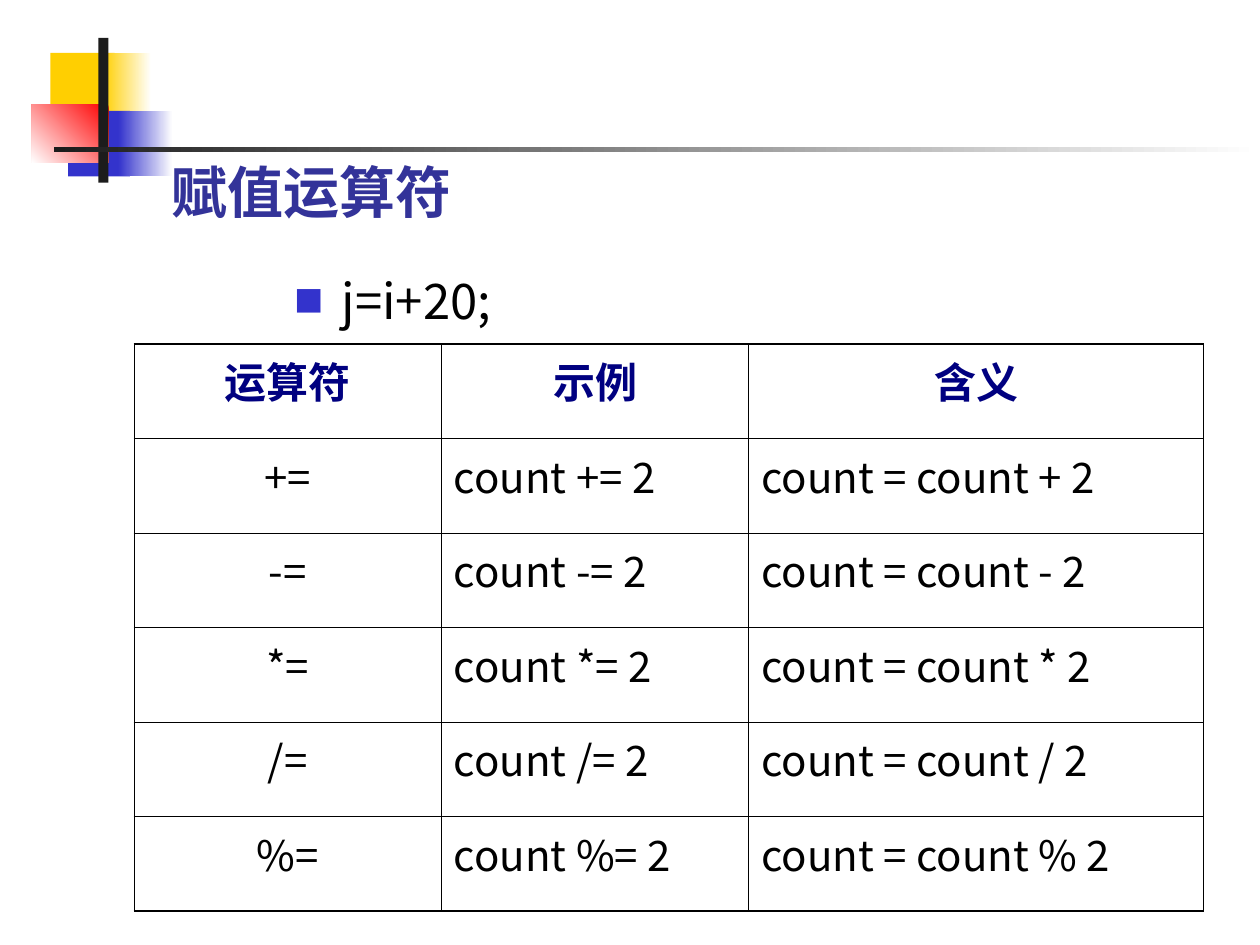
import lxml.etree
import pptx
import pptx.dml.color
import pptx.enum.shapes
import pptx.enum.text
import pptx.oxml
import pptx.oxml.ns
import pptx.util

Pt = pptx.util.Pt
qn = pptx.oxml.ns.qn
ALIGN = pptx.enum.text.PP_ALIGN
ANCHOR = pptx.enum.text.MSO_ANCHOR

THEME = {
    "yellow": "FFCF01", "blue": "3333CC", "red": "FF0000", "dark": "1C1C1C",
    "white": "FFFFFF", "title": "333399", "header": "000080", "text": "000000",
    "sans": "Noto Sans CJK SC", "title_font": "Karla", "serif": "Times New Roman",
    "title_size": 32, "body_size": 28, "table_size": 24,
}

TITLE = "赋值运算符"
EXAMPLE = "j=i+20;"
HEADER = ["运算符", "示例", "含义"]
OPERATORS = ["+", "-", "*", "/", "%"]
ROWS = [HEADER] + [
    [f"{op}=", f"count {op}= 2", f"count = count {op} 2"] for op in OPERATORS
]

# left, top, width, height, start colour, end colour, clockwise angle
DECORATION = [
    (28.8, 30.2, 36.7, 37.4, "yellow", None, None),
    (59, 30.2, 27.4, 37.4, "white", "yellow", 180),
    (38.9, 63.4, 35.3, 37.4, "blue", None, None),
    (67.7, 63.4, 31, 37.4, "white", "blue", 180),
    (18, 59.8, 43.9, 33.1, "red", "white", 135),
    (56.2, 21.6, 5.8, 82.8, "dark", None, None),
    (31, 84.2, 689, 2.9, "white", "dark", 180),
]
TITLE_BOX = (90.7, 16.6, 613.4, 115.2)
EXAMPLE_BOX = (161.3, 151.2, 291.6, 46.8)
TABLE_LEFT, TABLE_TOP = 76.5, 196.5
COLUMN_WIDTHS = [175.7, 175.7, 260]
ROW_HEIGHT = 54
RULE, EDGE_RULE = 0.45, 0.96


def rgb(name):
    return pptx.dml.color.RGBColor.from_string(THEME[name])


def add_block(slide, box, start, end, angle):
    """Add a borderless rectangle, solid unless an end colour is given."""
    sp = slide.shapes.add_shape(
        pptx.enum.shapes.MSO_SHAPE.RECTANGLE, *map(Pt, box))
    sp.shadow.inherit = False
    sp.line.fill.background()
    if end is None:
        sp.fill.solid()
        sp.fill.fore_color.rgb = rgb(start)
        return
    sp.fill.gradient()
    sp.fill.gradient_angle = 360 - angle
    for stop, name in zip(sp.fill.gradient_stops, (start, end)):
        stop.color.rgb = rgb(name)


def write(tf, text, *, size, color="text", font="sans", bold=False,
          align=ALIGN.LEFT, anchor=ANCHOR.TOP, bullet=False):
    tf.word_wrap = True
    tf.vertical_anchor = anchor
    p = tf.paragraphs[0]
    p.alignment = align
    if bullet:
        add_bullet(p)
    r = p.add_run()
    r.text = text
    r.font.size = Pt(THEME[size])
    r.font.bold = bold
    r.font.color.rgb = rgb(color)
    r.font.name = THEME[font]
    ea = lxml.etree.SubElement(r.font._element, qn("a:ea"))
    ea.set("typeface", THEME["sans"])


def add_bullet(p):
    pPr = p._p.get_or_add_pPr()
    pPr.set("marL", str(Pt(27)))
    pPr.set("indent", str(-Pt(27)))
    color = lxml.etree.SubElement(pPr, qn("a:buClr"))
    lxml.etree.SubElement(color, qn("a:srgbClr")).set("val", THEME["blue"])
    lxml.etree.SubElement(pPr, qn("a:buSzPct")).set("val", "60000")
    lxml.etree.SubElement(pPr, qn("a:buFont")).set("typeface", THEME["sans"])
    lxml.etree.SubElement(pPr, qn("a:buChar")).set("char", "■")


def set_borders(cell, top, bottom):
    """Rule all four sides; the schema wants the lines ahead of the fill."""
    tcPr = cell._tc.get_or_add_tcPr()
    sides = {"L": RULE, "R": RULE, "T": top, "B": bottom}
    for i, (side, width) in enumerate(sides.items()):
        ln = lxml.etree.Element(qn(f"a:ln{side}"), w=str(Pt(width)))
        fill = lxml.etree.SubElement(ln, qn("a:solidFill"))
        lxml.etree.SubElement(fill, qn("a:srgbClr")).set("val", THEME["text"])
        tcPr.insert(i, ln)


def add_operator_table(slide):
    table = slide.shapes.add_table(
        len(ROWS), len(HEADER), Pt(TABLE_LEFT), Pt(TABLE_TOP),
        Pt(sum(COLUMN_WIDTHS)), Pt(ROW_HEIGHT * len(ROWS))).table
    table.first_row = table.horz_banding = False
    for column, width in zip(table.columns, COLUMN_WIDTHS):
        column.width = Pt(width)
    for i, row in enumerate(ROWS):
        table.rows[i].height = Pt(ROW_HEIGHT)
        is_header = i == 0
        for j, text in enumerate(row):
            cell = table.cell(i, j)
            cell.fill.background()
            set_borders(cell, EDGE_RULE if is_header else RULE,
                        EDGE_RULE if i == len(ROWS) - 1 else RULE)
            write(cell.text_frame, text, size="table_size",
                  color="header" if is_header else "text", bold=is_header,
                  font="serif" if is_header and j == 0 else "sans",
                  align=ALIGN.CENTER if is_header or j == 0 else ALIGN.LEFT)


def main():
    prs = pptx.Presentation()
    prs.slide_width, prs.slide_height = Pt(720), Pt(540)
    slide = prs.slides.add_slide(prs.slide_layouts[6])
    for *box, start, end, angle in DECORATION:
        add_block(slide, box, start, end, angle)
    title = slide.shapes.add_textbox(*map(Pt, TITLE_BOX))
    write(title.text_frame, TITLE, size="title_size", color="title",
          font="title_font", bold=True, anchor=ANCHOR.BOTTOM)
    example = slide.shapes.add_textbox(*map(Pt, EXAMPLE_BOX))
    write(example.text_frame, EXAMPLE, size="body_size", bullet=True)
    add_operator_table(slide)
    prs.save("out.pptx")


if __name__ == "__main__":
    main()
